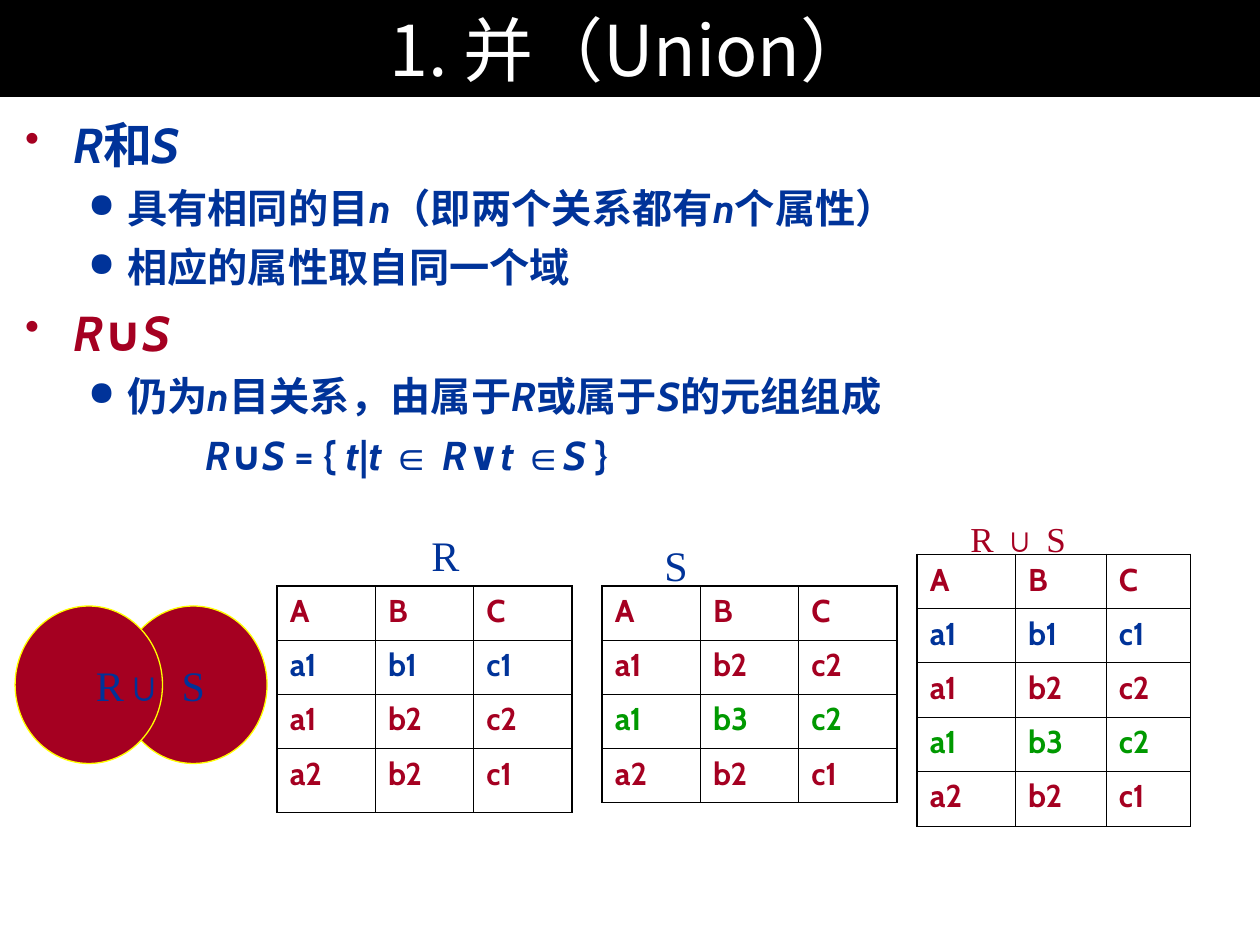
from dataclasses import dataclass

from lxml.etree import SubElement
from pptx import Presentation
from pptx.dml.color import RGBColor
from pptx.enum.shapes import MSO_SHAPE as Shape
from pptx.enum.text import MSO_ANCHOR as Anchor, PP_ALIGN as Align
from pptx.oxml.ns import qn
from pptx.util import Inches, Pt

BLACK = RGBColor(0, 0, 0)
WHITE = RGBColor(0xFF, 0xFF, 0xFF)
RED = RGBColor(0xA5, 0x00, 0x21)
BLUE = RGBColor(0x00, 0x33, 0x99)
GREEN = RGBColor(0x00, 0x99, 0x00)
YELLOW = RGBColor(0xFF, 0xFF, 0x00)
SANS, HAN, SERIF = "Cabin", "Noto Sans CJK SC", "Times New Roman"
THIN, THICK = Pt(0.45), Pt(1.08)


@dataclass
class Line:
    text: str  # underscores switch italics on and off
    size: float = 23
    color: RGBColor = BLUE
    gap: float = 5.8
    left: float = 0.81
    hang: float = 0.31
    mark: str = "●"
    tint: RGBColor = BLUE


@dataclass
class Circle:
    text: str
    left: float
    pads: tuple[float, float]


@dataclass
class Label:
    text: str
    box: tuple[float, float, float, float]
    size: float = 24
    color: RGBColor = BLUE


@dataclass
class Grid:
    left: float
    top: float
    cols: list[float]
    rows: list[float]
    data: list[tuple[str, RGBColor]]


HEAD = ("A B C", RED)
FIRST = ("a1 b1 c1", BLUE)
BOTH = [("a1 b2 c2", RED), ("a2 b2 c1", RED)]
EXTRA = ("a1 b3 c2", GREEN)
TOP = dict(size=28, gap=7, left=0.38, hang=0.38, mark="•", tint=RED)

LINES = [
    Line("_R_和_S_", **TOP),
    Line("具有相同的目_n_（即两个关系都有_n_个属性）"),
    Line("相应的属性取自同一个域"),
    Line("_R_∪_S_", color=RED, **TOP),
    Line("仍为_n_目关系，由属于_R_或属于_S_的元组组成"),
    Line("_R_∪_S_ = { _t_|_t _∈ _R_∨_t _∈_S _}", left=1.43, hang=0, mark=""),
]
CIRCLES = [Circle("S", 0.95, (0.1, 0.1)), Circle("R∪", 0.12, (0.72, 0.05))]
GRIDS = [
    Grid(2.2, 4.65, [0.78] * 3, [0.43] * 3 + [0.51], [HEAD, FIRST, *BOTH]),
    Grid(4.78, 4.65, [0.78] * 3, [0.43] * 4, [HEAD, BOTH[0], EXTRA, BOTH[1]]),
    Grid(7.28, 4.4, [0.78, 0.72, 0.67], [0.43] * 4 + [0.44],
         [HEAD, FIRST, BOTH[0], EXTRA, BOTH[1]]),
]
LABELS = [
    Label("R", (3.2, 4.15, 0.67, 0.5)),
    Label("S", (5.03, 4.23, 0.67, 0.5)),
    Label("R ∪ S", (7.37, 4.06, 1.42, 0.44), 20, RED),
]


def style(para, face: str, size: float, color: RGBColor, bold: bool = False) -> None:
    font = para.font
    font.name, font.size, font.bold = face, Pt(size), bold
    font.color.rgb = color
    props = para._p.pPr.find(qn("a:defRPr"))
    SubElement(props, qn("a:ea")).set("typeface", face)


def pad(frame, side: float, end: float, right: float | None = None) -> None:
    frame.margin_left = Inches(side)
    frame.margin_right = Inches(side if right is None else right)
    frame.margin_top = frame.margin_bottom = Inches(end)


def add_title(slide, text: str) -> None:
    bar = slide.shapes.add_shape(Shape.RECTANGLE, 0, 0, Inches(10), Inches(0.77))
    bar.shadow.inherit = False
    bar.fill.solid()
    bar.fill.fore_color.rgb = BLACK
    bar.line.fill.background()
    frame = bar.text_frame
    pad(frame, 0.2, 0.05)
    frame.vertical_anchor = Anchor.MIDDLE
    para = frame.paragraphs[0]
    para.text, para.alignment = text, Align.CENTER
    style(para, HAN, 40, WHITE)


def add_line(para, line: Line, first: bool) -> None:
    props = para._p.get_or_add_pPr()
    props.set("marL", str(Inches(line.left)))
    props.set("indent", str(-Inches(line.hang)))
    if line.mark:
        tint = SubElement(props, qn("a:buClr"))
        SubElement(tint, qn("a:srgbClr")).set("val", str(line.tint))
        SubElement(props, qn("a:buSzPct")).set("val", "85000")
        SubElement(props, qn("a:buChar")).set("char", line.mark)
    else:
        SubElement(props, qn("a:buNone"))
    para.level = 0 if line.size == 28 else 1
    para.alignment = Align.JUSTIFY
    para.space_before = Pt(0 if first else line.gap)
    style(para, SANS, line.size, line.color, True)
    for i, part in enumerate(line.text.split("_")):
        if part:
            run = para.add_run()
            run.text, run.font.italic = part, i % 2 == 1
            if "∈" in part:
                run.font.name = "Arial"
                SubElement(run._r.rPr, qn("a:ea")).set("typeface", "Arial")


def add_body(slide, lines: list[Line]) -> None:
    box = slide.shapes.add_textbox(0, Inches(0.76), Inches(10), Inches(3.53))
    frame = box.text_frame
    frame.word_wrap = True
    pad(frame, 0.2, 0.15)
    for i, line in enumerate(lines):
        add_line(frame.add_paragraph() if i else frame.paragraphs[0], line, i == 0)


def add_circle(slide, item: Circle) -> None:
    oval = slide.shapes.add_shape(
        Shape.OVAL, Inches(item.left), Inches(4.81), Inches(1.17), Inches(1.25))
    oval.shadow.inherit = False
    oval.fill.solid()
    oval.fill.fore_color.rgb = RED
    oval.line.color.rgb, oval.line.width = YELLOW, Pt(0.75)
    frame = oval.text_frame
    frame.word_wrap, frame.vertical_anchor = False, Anchor.MIDDLE
    pad(frame, item.pads[0], 0.05, item.pads[1])
    para = frame.paragraphs[0]
    para.text, para.alignment = item.text, Align.CENTER
    style(para, SERIF, 24, BLUE)


def add_edges(cell, outer: dict[str, bool]) -> None:
    cell.fill.background()
    props = cell._tc.get_or_add_tcPr()
    for i, (side, thick) in enumerate(outer.items()):
        edge = SubElement(props, qn(f"a:ln{side}"), w=str(THICK if thick else THIN))
        fill = SubElement(edge, qn("a:solidFill"))
        SubElement(fill, qn("a:srgbClr")).set("val", str(BLACK))
        props.insert(i, edge)


def add_grid(slide, grid: Grid) -> None:
    high, wide = len(grid.rows), len(grid.cols)
    table = slide.shapes.add_table(
        high, wide, Inches(grid.left), Inches(grid.top),
        Inches(sum(grid.cols)), Inches(sum(grid.rows))).table
    table.first_row = table.horz_banding = False
    for col, width in zip(table.columns, grid.cols):
        col.width = Inches(width)
    for r, (words, color) in enumerate(grid.data):
        table.rows[r].height = Inches(grid.rows[r])
        for c, word in enumerate(words.split()):
            cell = table.cell(r, c)
            para = cell.text_frame.paragraphs[0]
            para.text = word
            style(para, SANS, 18, color, True)
            add_edges(cell, {"L": c == 0, "R": c == wide - 1,
                             "T": r == 0, "B": r == high - 1})


def add_label(slide, label: Label) -> None:
    frame = slide.shapes.add_textbox(*map(Inches, label.box)).text_frame
    frame.word_wrap = True
    para = frame.paragraphs[0]
    para.text, para.alignment = label.text, Align.CENTER
    style(para, SERIF, label.size, label.color)


def main() -> None:
    deck = Presentation()
    deck.slide_width, deck.slide_height = Inches(10), Inches(7.5)
    slide = deck.slides.add_slide(deck.slide_layouts[6])
    # Heading and definitions
    add_title(slide, "1. 并（Union）")
    add_body(slide, LINES)
    # Venn diagram, relations and their names
    for draw, items in ((add_circle, CIRCLES), (add_grid, GRIDS), (add_label, LABELS)):
        for item in items:
            draw(slide, item)
    deck.save("out.pptx")


if __name__ == "__main__":
    main()
